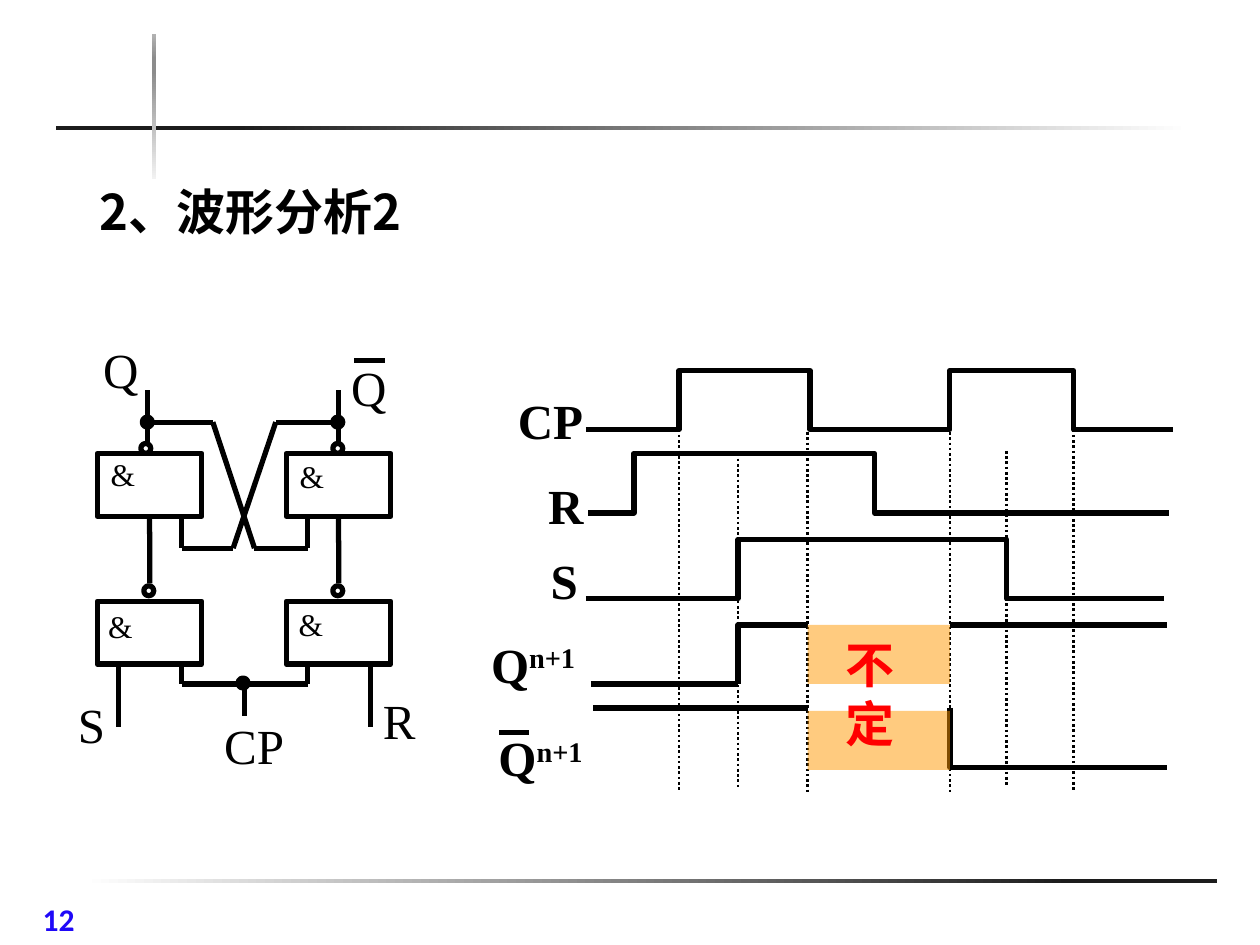
"""Build the slide on waveform analysis of a clocked RS latch."""
from copy import deepcopy
from itertools import pairwise
from pptx import Presentation
from pptx.dml.color import RGBColor as RGB
from pptx.enum.dml import MSO_LINE_DASH_STYLE as Dash
from pptx.enum.shapes import MSO_CONNECTOR as Conn, MSO_SHAPE as Kind
from pptx.enum.text import MSO_ANCHOR as Anchor
from pptx.oxml.ns import qn
from pptx.oxml.xmlchemy import OxmlElement as Elem
from pptx.util import Cm, Pt

HUE = {"ink": "000000", "dark": "1C1C1C", "white": "FFFFFF", "pale": "F2F2F2",
       "gray": "8C8C8C", "mist": "B2B2B2", "blue": "1F08F8", "red": "FF0000",
       "gold": "FF9900"}
HUE = {key: RGB.from_string(val) for key, val in HUE.items()}
ROMAN, HAN = "Times New Roman", "Noto Sans CJK SC"

deck = Presentation()
deck.slide_width, deck.slide_height = Cm(25.4), Cm(19.05)
slide = deck.slides.add_slide(deck.slide_layouts[6])
shapes = slide.shapes
slide.background.fill.solid()
slide.background.fill.fore_color.rgb = HUE["white"]


def wire(x1, y1, x2, y2, **form):
    """Draw a straight line."""
    line = shapes.add_connector(Conn.STRAIGHT, Cm(x1), Cm(y1), Cm(x2), Cm(y2))
    line.line.color.rgb = HUE["ink"]
    for key, val in ({"width": Pt(3)} | form).items():
        setattr(line.line, key, val)
    line._element.spPr.append(Elem("a:effectLst"))
    return line


def write(x, y, w, h, text, sup="", hue="ink", anchor=Anchor.TOP, **form):
    """Place a text box, with an optional raised part."""
    frame = shapes.add_textbox(Cm(x), Cm(y), Cm(w), Cm(h)).text_frame
    frame.word_wrap, frame.vertical_anchor = True, anchor
    form = {"size": Pt(28), "name": ROMAN, "bold": False} | form
    for part in filter(None, (text, sup)):
        run = frame.paragraphs[0].add_run()
        run.text = part
        run.font.color.rgb = HUE[hue]
        for key, val in form.items():
            setattr(run.font, key, val)
        east = Elem("a:ea")
        east.set("typeface", form["name"])
        run._r.rPr.find(qn("a:latin")).addnext(east)
    if sup:
        run._r.rPr.set("baseline", "30000")


for x, y, w, h, angle, stops in (
    (1.68, 17.73, 22.86, 0.08, 0, ((0, "white"), (0.87, "dark"))),
    (1.12, 2.54, 22.86, 0.08, 0, ((0.16, "dark"), (1, "white"))),
    (3.07, 0.69, 0.08, 2.92, 90,
     ((0, "pale"), (0.74, "gray"), (0.83, "gray"), (1, "mist"))),
):
    rule = shapes.add_shape(Kind.RECTANGLE, Cm(x), Cm(y), Cm(w), Cm(h))
    rule.shadow.inherit = False
    rule.line.fill.background()
    rule.fill.gradient()
    rule.fill.gradient_angle = angle
    group = rule._element.spPr.find(".//" + qn("a:gsLst"))
    while len(group) < len(stops):
        group.append(deepcopy(group[0]))
    for stop, (spot, hue) in zip(rule.fill.gradient_stops, stops):
        stop.position, stop.color.rgb = spot, HUE[hue]

write(0.61, 18.01, 2.51, 0.94, "12", hue="blue", size=Pt(18), name="Calibri", bold=True)
write(1.75, 3.53, 7.39, 1.45, "2、波形分析2", anchor=Anchor.MIDDLE, name=HAN, bold=True)

for x, top, end in ((13.69, 8.66, 15.95), (16.28, 8.71, 15.98), (19.15, 8.71, 15.98),
                    (21.64, 8.66, 15.95), (14.88, 9.14, 15.9), (20.29, 9.09, 15.85)):
    wire(x, top, x, end, width=Pt(1.5), dash_style=Dash.ROUND_DOT)

for first, other, edges in (
    (8.66, 7.47, (11.81, 13.69, 16.33, 19.15, 21.64, 23.65)),
    (10.34, 9.14, (11.86, 12.78, 17.63, 23.57)),
    (12.07, 10.87, (11.81, 14.88, 20.29, 23.47)),
    (13.79, 12.6, (14.88, 14.88, 16.28)),
    (14.27, 15.47, (19.15, 19.15, 23.52)),
):
    dots = []
    for i, (left, right) in enumerate(pairwise(edges)):
        y = (first, other)[i % 2]
        dots += [(Cm(left), Cm(y)), (Cm(right), Cm(y))]
    path = shapes.build_freeform(*dots[0])
    path.add_line_segments(dots[1:], close=False)
    wave = path.convert_to_shape()
    wave.shadow.inherit = False
    wave.fill.background()
    wave.line.color.rgb, wave.line.width = HUE["ink"], Pt(3)

for x1, x2, y in ((11.91, 13.74, 13.79), (13.69, 14.88, 13.79), (10.06, 10.67, 14.76),
                  (11.96, 13.74, 14.27), (13.69, 14.88, 14.27), (14.88, 16.28, 14.27),
                  (19.15, 23.52, 12.6)):
    wire(x1, y, x2, y)

for x, y, w, text, sup in ((10.19, 7.75, 2.26, "CP", ""), (10.8, 9.47, 1.63, "R", ""),
                           (10.85, 10.97, 1.63, "S", ""), (9.65, 12.67, 2.87, "Q", "n+1"),
                           (9.8, 14.55, 2.87, "Q", "n+1")):
    write(x, y, w, 1.45, text, sup, bold=True)

for y in (12.6, 14.33):
    zone = shapes.add_shape(Kind.RECTANGLE, Cm(16.28), Cm(y), Cm(2.87), Cm(1.19))
    zone.shadow.inherit = False
    zone.line.fill.background()
    zone.fill.solid()
    zone.fill.fore_color.rgb = HUE["gold"]
    alpha = Elem("a:alpha")
    alpha.set("val", "50000")
    zone._element.spPr.find(".//" + qn("a:srgbClr")).append(alpha)
write(16.79, 12.67, 1.63, 2.62, "不定", hue="red", name=HAN, bold=True)

for x in (1.96, 5.77):
    for y in (9.14, 12.12):
        gate = shapes.add_shape(Kind.RECTANGLE, Cm(x), Cm(y), Cm(2.11), Cm(1.27))
        gate.shadow.inherit = False
        gate.fill.background()
        gate.line.color.rgb, gate.line.width = HUE["ink"], Pt(3)
        if y == 9.14:
            wire(x + 1.06, 10.41, x + 1.06, 11.76).begin_connect(gate, 2)

for x, y, full in ((2.84, 8.94, False), (6.71, 8.94, False), (2.9, 11.81, False),
                   (6.71, 11.81, False), (2.87, 8.41, True), (6.71, 8.41, True),
                   (4.8, 13.67, True)):
    node = shapes.add_shape(Kind.OVAL, Cm(x), Cm(y), Cm(0.2), Cm(0.2))
    node.shadow.inherit = False
    node.line.color.rgb, node.line.width = HUE["ink"], Pt(3)
    if full:
        node.fill.solid()
        node.fill.fore_color.rgb = HUE["ink"]
    else:
        node.fill.background()

for x, top, end in ((2.39, 13.39, 14.66), (7.47, 13.39, 14.66), (2.97, 7.87, 8.94),
                    (6.83, 7.87, 8.94), (3.66, 10.41, 11.05), (6.2, 10.41, 11.05),
                    (3.66, 13.39, 13.79), (6.2, 13.39, 13.79), (4.93, 13.79, 14.43)):
    wire(x, top, x, end)
for x1, x2, y in ((3.02, 4.29, 8.51), (5.56, 6.83, 8.51), (3.66, 4.7, 11.05),
                  (5.13, 6.2, 11.05), (3.66, 6.2, 13.79), (7.14, 7.77, 7.26)):
    wire(x1, y, x2, y)
for x1, x2 in ((4.29, 5.13), (5.56, 4.7)):
    wire(x1, 8.51, x2, 11.05)

for x, y, w, text in ((1.83, 6.71, 1.7, "Q"), (6.83, 7.09, 1.27, "Q"),
                      (1.32, 13.87, 1.1, "S"), (7.47, 13.79, 1.12, "R"),
                      (4.27, 14.3, 1.78, "CP")):
    write(x, y, w, 1.45, text)
for x, y in ((1.98, 9.04), (5.79, 9.09), (1.93, 12.12), (5.77, 12.07)):
    write(x, y, 1.02, 1.02, "&", size=Pt(18))

deck.save("out.pptx")
